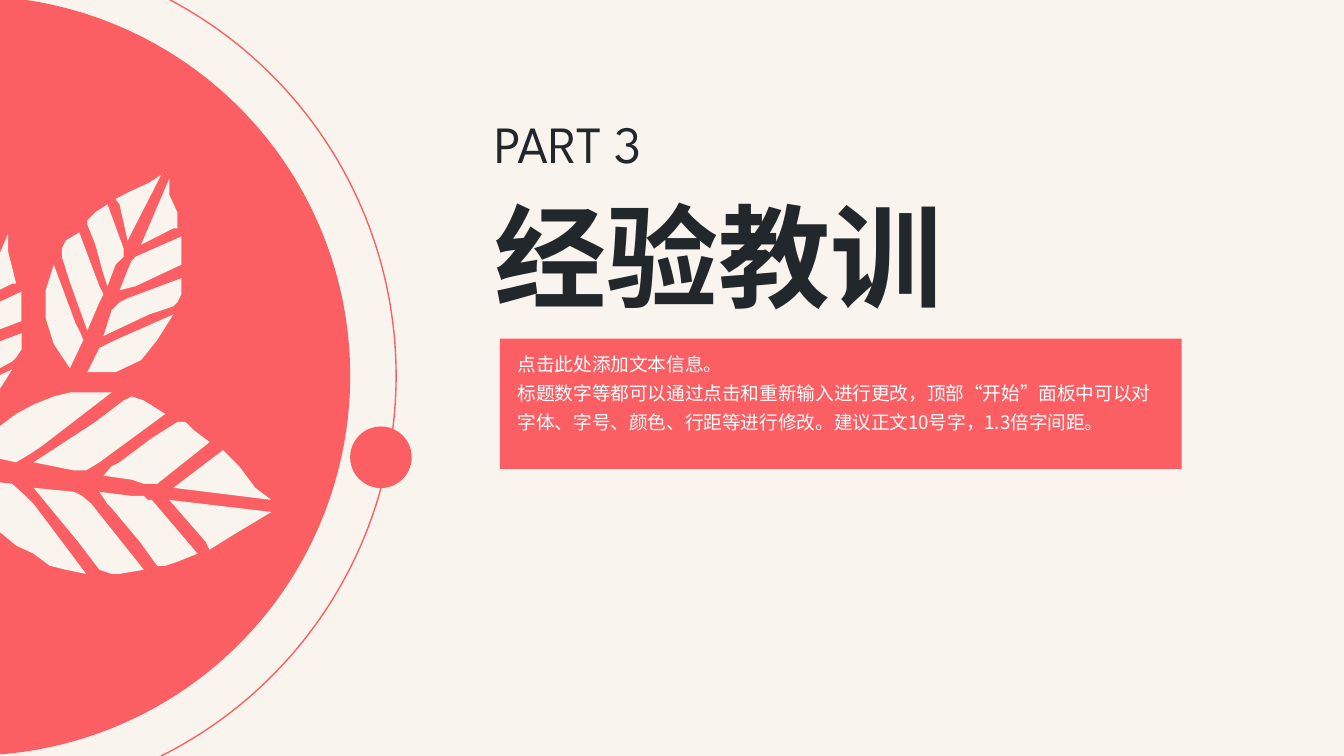
import dataclasses
import typing

import lxml.etree
import pptx
import pptx.dml.color
import pptx.enum.shapes
import pptx.enum.text
import pptx.oxml.ns
import pptx.util

Pt = pptx.util.Pt
Kind = pptx.enum.shapes.MSO_SHAPE

CORAL = "FB5F63"
CREAM = "F9F5EE"
DARK = "22272C"
WHITE = "FFFFFF"
LATIN = "League Spartan"
HAN = "Noto Sans CJK SC"
GRID = Pt(0.72)


@dataclasses.dataclass
class Box:
    left: float
    top: float
    width: float
    height: float

    def frame(self) -> tuple:
        return Pt(self.left), Pt(self.top), Pt(self.width), Pt(self.height)


@dataclasses.dataclass
class Label:
    box: Box
    text: str
    size: float
    color: str
    font: str = LATIN
    bold: bool = False
    wrap: bool = False
    space: float = 1.0


@dataclasses.dataclass
class Form:
    kind: Kind
    box: Box
    fill: bool = True


PANEL = Form(Kind.RECTANGLE, Box(267.84, 181.5, 365.2, 69.8))
ROUNDS = [
    Form(Kind.OVAL, Box(-243.5, -26.6, 455.7, 455.7), False),
    Form(Kind.OVAL, Box(-219.4, -2.2, 407, 407)),
    Form(Kind.OVAL, Box(187.6, 228.5, 33, 33)),
]
TITLES = [
    Label(Box(257.9, 56.16, 102.96, 41.04), "PART 3", 28, DARK),
    Label(Box(257.76, 96.8, 257.04, 79.92), "经验教训", 60, DARK, bold=True),
]
BODY = Label(
    Box(270.3, 181.8, 360, 53.28),
    "点击此处添加文本信息。\n"
    "标题数字等都可以通过点击和重新输入进行更改，顶部“开始”面板中可以对"
    "字体、字号、颜色、行距等进行修改。建议正文10号字，1.3倍字间距。",
    10, WHITE, HAN, wrap=True, space=1.3,
)

LOW_LEAF = [
    "153,403 156,409 172,399 187,390 202,381 126,372",
    "98,369 74,366 80,375 83,378 104,403 117,421 123,421 132,418 147,412 "
    "113,372 110,372 107,369",
    "55,366 25,363 58,403 74,424 83,427 89,427 107,424 68,375 61,369",
    "9,360 -18,357 -15,372 -9,384 0,396 12,406 25,412 37,421 49,424 64,427 "
    "25,375 19,369",
    "178,347 166,335 162,338 129,363 202,372 190,363",
    "89,344 83,347 77,354 98,357 107,360 113,360 117,360 156,329 144,320 "
    "138,314 132,314 113,326",
    "74,344 123,308 107,298 98,295 92,298 71,314 25,344 55,350 64,350",
    "-15,338 12,344 22,338 31,332 83,292 68,292 52,292 40,295 25,301 12,308 "
    "0,317 -9,326",
]
LEFT_LEAF = [
    "12,211 9,199 6,187 6,174 -15,223 9,211",
    "16,217 -18,233 -21,239 -24,245 -30,257 -21,254 0,245 16,239 16,236 16,230",
    "16,248 -24,263 -30,266 -37,272 -43,291 -9,279 9,269 12,266 16,260",
    "9,275 -33,294 -43,297 -49,300 -55,321 -46,318 -37,318 -18,309 -3,294",
]
RIGHT_LEAF = [
    "95,179 120,130 111,136 98,142 86,148 89,152",
    "77,204 80,213 86,197 92,191 92,185 80,152 71,158 65,164 65,167 71,182",
    "52,210 65,246 74,225 77,219 74,213 59,173 49,179 46,185 46,191",
    "56,240 40,197 34,216 34,237 40,256 46,265 52,274 62,253 59,246",
    "129,170 132,170 132,158 126,145 126,133 105,182",
    "95,201 89,216 101,213 120,204 135,197 135,194 135,188 135,176 101,191 "
    "98,194",
    "129,228 132,225 135,219 135,207 95,222 89,225 83,231 77,250 111,234",
    "74,259 65,277 74,277 86,277 105,268 117,253 129,234 86,253 80,256",
]


def tint(code: str) -> pptx.dml.color.RGBColor:
    return pptx.dml.color.RGBColor.from_string(code)


def paint(shape: typing.Any, code: str) -> None:
    shape.shadow.inherit = False
    shape.fill.solid()
    shape.fill.fore_color.rgb = tint(code)
    shape.line.fill.background()


def draw_form(slide: typing.Any, form: Form) -> None:
    shape = slide.shapes.add_shape(form.kind, *form.box.frame())
    paint(shape, CORAL)
    if not form.fill:
        shape.fill.background()
        shape.line.color.rgb = tint(CORAL)
        shape.line.width = Pt(0.75)


def draw_label(slide: typing.Any, label: Label) -> None:
    frame = slide.shapes.add_textbox(*label.box.frame()).text_frame
    frame.word_wrap = label.wrap
    frame.auto_size = pptx.enum.text.MSO_AUTO_SIZE.SHAPE_TO_FIT_TEXT
    frame.text = label.text
    for line in frame.paragraphs:
        line.line_spacing = label.space
        for run in line.runs:
            run.font.name = label.font
            run.font.size = Pt(label.size)
            run.font.bold = label.bold
            run.font.color.rgb = tint(label.color)
            props = run._r.get_or_add_rPr()
            name = pptx.oxml.ns.qn("a:ea")
            lxml.etree.SubElement(props, name, typeface=HAN)


def draw_leaf(slide: typing.Any, parts: list[str]) -> None:
    group = slide.shapes.add_group_shape()
    for part in parts:
        points = [tuple(map(int, pair.split(","))) for pair in part.split()]
        pen = group.shapes.build_freeform(*points[0], scale=GRID)
        pen.add_line_segments(points[1:], close=True)
        paint(pen.convert_to_shape(), CREAM)


def main() -> None:
    deck = pptx.Presentation()
    deck.slide_width, deck.slide_height = Pt(720), Pt(405)
    slide = deck.slides.add_slide(deck.slide_layouts[6])
    slide.background.fill.solid()
    slide.background.fill.fore_color.rgb = tint(CREAM)
    for title in TITLES:
        draw_label(slide, title)
    draw_form(slide, PANEL)
    draw_label(slide, BODY)
    for form in ROUNDS:
        draw_form(slide, form)
    for leaf in (LOW_LEAF, LEFT_LEAF, RIGHT_LEAF):
        draw_leaf(slide, leaf)
    deck.save("out.pptx")


if __name__ == "__main__":
    main()
